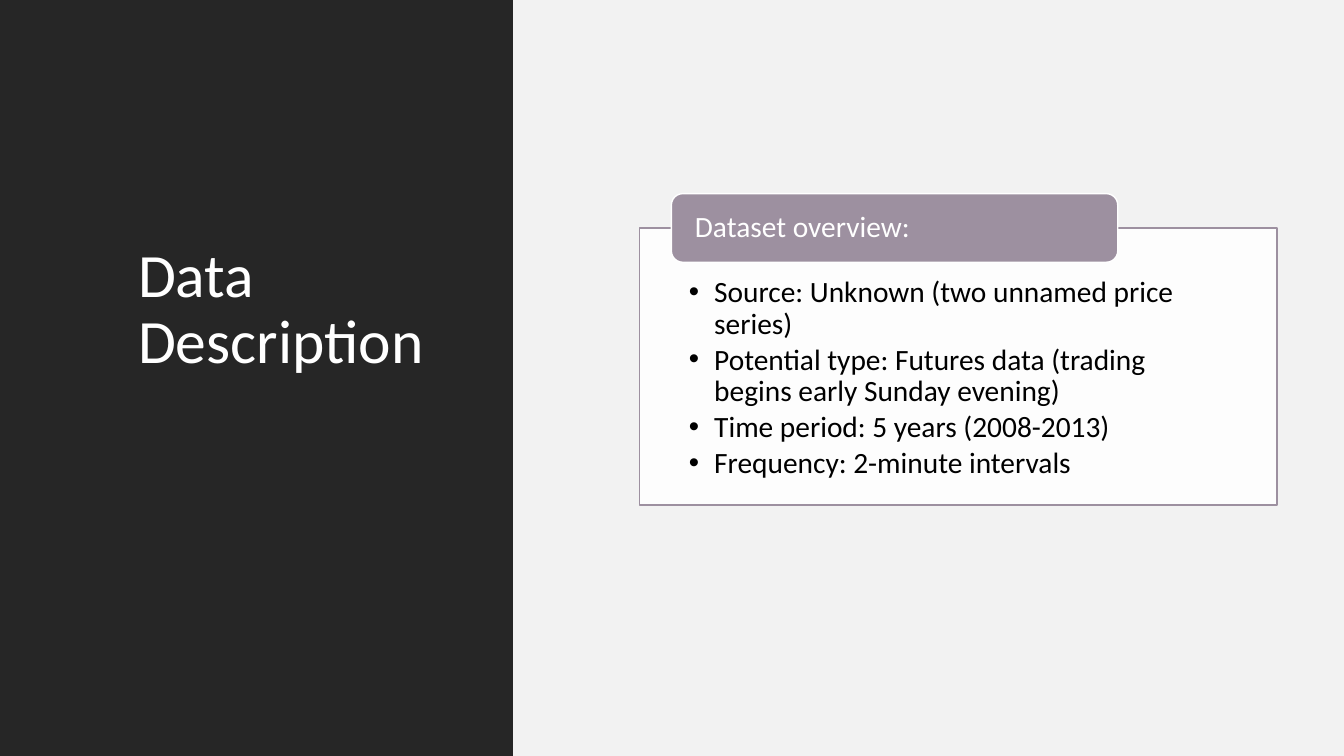
from lxml.etree import SubElement
from pptx import Presentation
from pptx.dml.color import RGBColor
from pptx.enum.shapes import MSO_SHAPE
from pptx.enum.text import MSO_ANCHOR, PP_ALIGN
from pptx.oxml.ns import qn
from pptx.util import Cm, Pt

COLORS = {
    "dark": "262626",
    "pale": "F2F2F2",
    "white": "FFFFFF",
    "mauve": "9D90A0",
    "black": "000000",
}
FACTS = [
    "Source: Unknown (two unnamed price series)",
    "Potential type: Futures data (trading begins early Sunday evening)",
    "Time period: 5 years (2008-2013)",
    "Frequency: 2-minute intervals",
]


class Deck:
    def __init__(self, font, width, height):
        self.font = font
        self.show = Presentation()
        self.show.slide_width = Cm(width)
        self.show.slide_height = Cm(height)
        self.slide = self.show.slides.add_slide(self.show.slide_layouts[6])

    def color(self, name):
        return RGBColor.from_string(COLORS[name])

    def box(self, place, fill, line=None, kind=MSO_SHAPE.RECTANGLE, alpha=None):
        shape = self.slide.shapes.add_shape(kind, *map(Cm, place))
        shape.shadow.inherit = False
        shape.fill.solid()
        shape.fill.fore_color.rgb = self.color(fill)
        if alpha:
            tint = shape._element.spPr.find(qn("a:solidFill"))[0]
            SubElement(tint, qn("a:alpha"), val=str(alpha * 1000))
        if line:
            shape.line.color.rgb = self.color(line)
            shape.line.width = Pt(1)
        else:
            shape.line.fill.background()
        return shape

    def label(self, place):
        return self.slide.shapes.add_textbox(*map(Cm, place))

    def text(self, shape, lines, size, color, pads=(0.25, 0.13, 0.25, 0.13),
             anchor=MSO_ANCHOR.TOP, after=0, bullet=False):
        frame = shape.text_frame
        frame.word_wrap = True
        frame.vertical_anchor = anchor
        (frame.margin_left, frame.margin_top,
         frame.margin_right, frame.margin_bottom) = map(Cm, pads)
        frame.text = "\n".join(lines)
        for para in frame.paragraphs:
            para.alignment = PP_ALIGN.LEFT
            para.line_spacing = 0.9
            para.space_after = Pt(after)
            if bullet:
                self.dot(para)
            para.font.name = self.font
            para.font.size = Pt(size)
            para.font.color.rgb = self.color(color)

    def dot(self, para):
        props = para._p.get_or_add_pPr()
        props.set("marL", str(Cm(0.64)))
        props.set("indent", str(-Cm(0.64)))
        SubElement(props, qn("a:buFont"), typeface="Arial")
        SubElement(props, qn("a:buChar"), char="•")


def main():
    deck = Deck("Calibri", 33.87, 19.05)
    deck.box((0, 0, 12.93, 19.05), "dark")
    title = deck.label((3.23, 6.02, 8.05, 11.25))
    deck.text(title, ["Data Description"], 44, "white")

    deck.box((12.93, 0, 20.94, 19.05), "pale")
    card = deck.box((16.11, 5.75, 16.07, 6.98), "white", "mauve", alpha=90)
    deck.text(card, FACTS, 21, "black", pads=(1.25, 1.23, 1.25, 0.4),
              after=3, bullet=True)
    head = deck.box((16.92, 4.88, 11.25, 1.73), "mauve", "white",
                    MSO_SHAPE.ROUNDED_RECTANGLE)
    deck.text(head, ["Dataset overview:"], 21, "white", pads=(0.51, 0, 0.51, 0),
              anchor=MSO_ANCHOR.MIDDLE)
    deck.show.save("out.pptx")


if __name__ == "__main__":
    main()
